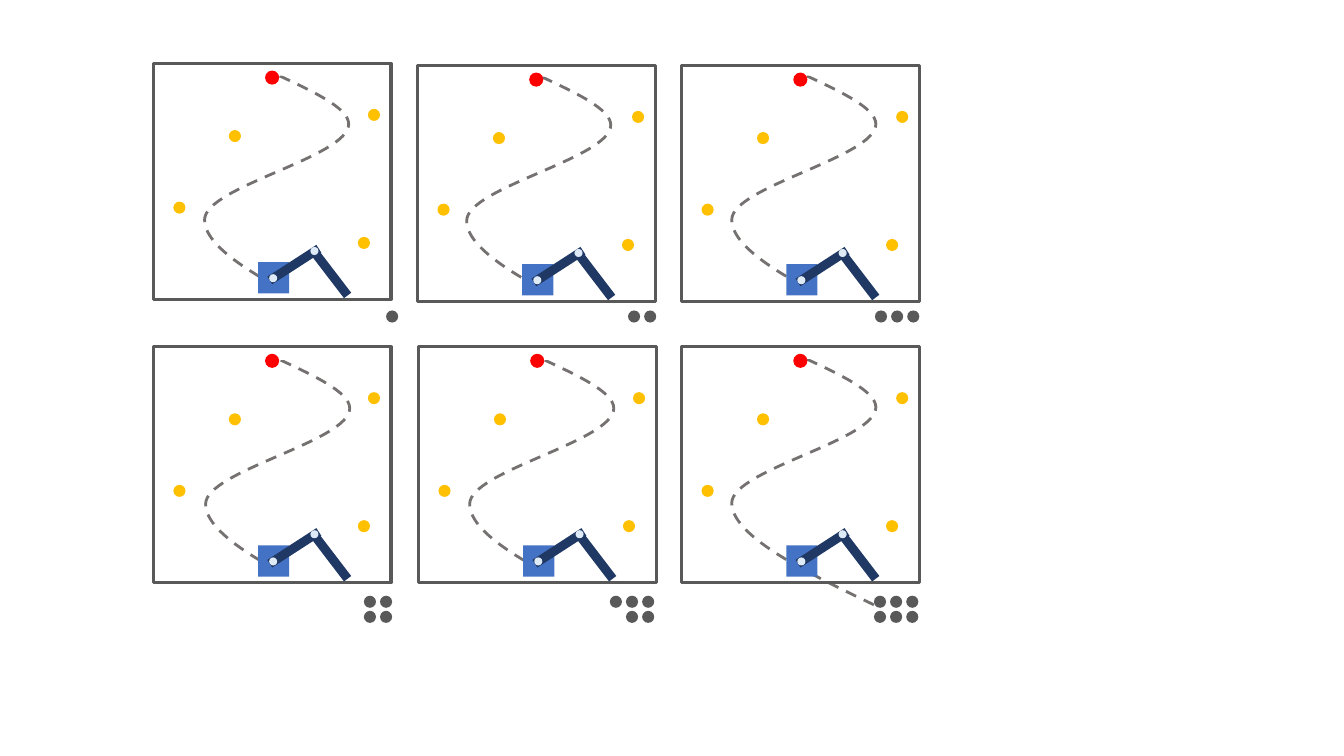
from lxml import etree
from pptx import Presentation, util as u
from pptx.dml.color import RGBColor
from pptx.enum import dml, shapes
from pptx.oxml.ns import qn

PX = 9144  # 100 px to the inch
RECT, OVAL = shapes.MSO_SHAPE.RECTANGLE, shapes.MSO_SHAPE.OVAL
GREY, NAVY, PALE, WHITE = "595959", "203864", "DEEBF7", "FFFFFF"

# Corner of each trajectory before its quarter turn, from back to front
trajectories = [(604, 332), (344, 333), (82, 333), (604, 51), (81, 51), (341, 52)]

# Bezier segments: two handles and an end point, along the unturned trajectory
start = (0, 141)
bends = [
    [(34, 70), (69, 0), (101, 0)],
    [(134, 0), (163, 143), (196, 143)],
    [(228, 143), (262, 0), (295, 0)],
    [(327, 0), (375, 146), (390, 146)],
]

# Frame corner, corner of the right-most dot, dots in each row
panels = [
    (152, 63, 383, 308, [1]),
    (414, 65, 639, 308, [2]),
    (676, 65, 900, 308, [3]),
    (152, 344, 377, 591, [2, 2]),
    (415, 344, 637, 591, [3, 2]),
    (676, 344, 899, 591, [3, 3]),
]

# Parts of a scene, relative to the frame: kind, x, y, w, h, rotation, fill
scene = [
    (RECT, 0, 0, 236, 234, 0, None),
    (OVAL, 111, 7, 14, 14, 0, "FF0000"),
    (RECT, 104, 197, 31, 31, 0, "4472C4"),
    (RECT, 111, 195, 58, 9, 327.1, NAVY),
    (OVAL, 115, 209, 8, 8, 0, PALE),
    (RECT, 147, 203, 57, 9, 52.6, NAVY),
    (OVAL, 156, 182, 8, 8, 269.8, PALE),
]
for obstacle_x, obstacle_y in [(20, 137), (75, 66), (213, 45), (203, 172)]:
    scene.append((OVAL, obstacle_x, obstacle_y, 12, 12, 0, "FFC000"))


def add_part(parent, kind, x, y, w, h, rotation, fill):
    """Add a filled shape, or a grey outline where fill is None."""
    part = parent.shapes.add_shape(kind, x * PX, y * PX, w * PX, h * PX)
    part.shadow.inherit = False
    part.rotation = rotation
    if fill:
        part.fill.solid()
        part.fill.fore_color.rgb = RGBColor.from_string(fill)
        part.line.fill.background()
    else:
        part.fill.background()
        part.line.color.rgb = RGBColor.from_string(GREY)
        part.line.width = u.Pt(2.25)


prs = Presentation()
prs.slide_width, prs.slide_height = u.Inches(13.333), u.Inches(7.5)
slide = prs.slides.add_slide(prs.slide_layouts[6])

for number, (left, top) in enumerate(trajectories):
    motion = slide.shapes.add_group_shape()
    builder = motion.shapes.build_freeform(*start, scale=PX)
    builder.add_line_segments([bend[-1] for bend in bends], close=False)
    trajectory = builder.convert_to_shape(left * PX, top * PX)
    for straight, bend in zip(trajectory.element.xpath(".//a:lnTo"), bends):
        curve = etree.Element(qn("a:cubicBezTo"))
        for x, y in bend:
            etree.SubElement(curve, qn("a:pt"), x=str(x), y=str(y))
        straight.getparent().replace(straight, curve)
    trajectory.rotation = 270
    trajectory.shadow.inherit = False
    trajectory.fill.background()
    trajectory.line.color.rgb = RGBColor.from_string("767171")
    trajectory.line.width = u.Pt(2)
    trajectory.line.dash_style = dml.MSO_LINE.DASH
    outline = trajectory.element.xpath(".//a:ln")[0]
    etree.SubElement(outline, qn("a:tailEnd"), type="triangle")

    # White covers trim both ends; the first trajectory keeps its lower end
    if number > 0:
        add_part(motion, RECT, left + 191, top + 223, 89, 61, 0, WHITE)
    add_part(motion, RECT, left + 96, top - 125, 221, 149, 0, WHITE)

for left, top, dots_right, dots_top, dot_rows in panels:
    panel = slide.shapes.add_group_shape()
    for kind, x, y, w, h, rotation, fill in scene:
        add_part(panel, kind, left + x, top + y, w, h, rotation, fill)

    counter = slide.shapes.add_group_shape()
    for row, count in enumerate(dot_rows):
        for column in range(count):
            add_part(counter, OVAL, dots_right - 16 * column, dots_top + 15 * row,
                     12, 12, 0, GREY)

prs.save("out.pptx")
